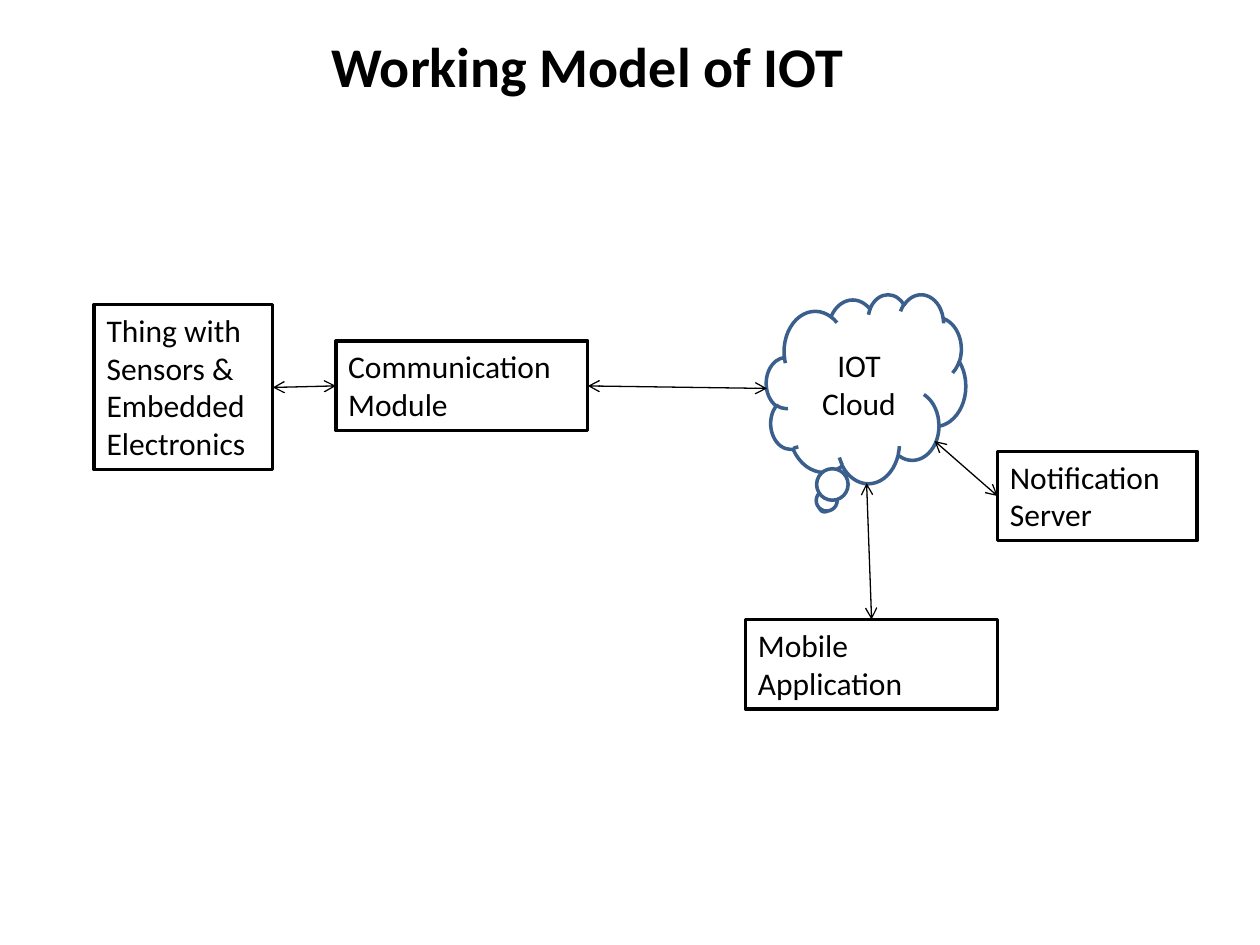
from lxml import etree
from pptx import Presentation
from pptx.dml.color import RGBColor
from pptx.enum.shapes import MSO_CONNECTOR, MSO_SHAPE
from pptx.enum.text import MSO_ANCHOR, MSO_AUTO_SIZE, PP_ALIGN
from pptx.oxml.ns import qn
from pptx.util import Cm, Pt

RECTANGLE = MSO_SHAPE.RECTANGLE
CLOUD = MSO_SHAPE.CLOUD_CALLOUT
STRAIGHT = MSO_CONNECTOR.STRAIGHT
TOP, MIDDLE = MSO_ANCHOR.TOP, MSO_ANCHOR.MIDDLE
LEFT, CENTER = PP_ALIGN.LEFT, PP_ALIGN.CENTER
FIT_SHAPE = MSO_AUTO_SIZE.SHAPE_TO_FIT_TEXT

BLACK = "000000"
WHITE = "FFFFFF"
BLUE = "3A5F8C"
BOX_HEIGHT = 1.8

BOXES = [
    ("Thing with Sensors & Embedded Electronics", 1.9, 6.14, 3.6, 3.33),
    ("Communication Module", 6.77, 6.88, 5.08, BOX_HEIGHT),
    ("Mobile Application", 15.03, 12.49, 5.08, BOX_HEIGHT),
    ("Notification Server", 20.11, 9.1, 4.02, BOX_HEIGHT),
]
LINKS = [
    (5.5, 7.81, 6.77, 7.78),
    (11.85, 7.78, 15.46, 7.83),
    (17.57, 12.49, 17.47, 9.74),
    (20.11, 10.0, 18.84, 8.89),
]


def color(value):
    return RGBColor.from_string(value)


def write_text(shape, text, size, bold=False, align=LEFT):
    shape.text_frame.text = text
    para = shape.text_frame.paragraphs[0]
    para.alignment = align
    font = para.runs[0].font
    font.name = "Calibri"
    font.size = Pt(size)
    font.bold = bold
    font.color.rgb = color(BLACK)


def add_node(page, kind, text, bounds, outline, align=LEFT, anchor=TOP):
    shape = page.shapes.add_shape(kind, *map(Cm, bounds))
    shape.shadow.inherit = False
    shape.fill.solid()
    shape.fill.fore_color.rgb = color(WHITE)
    shape.line.color.rgb = color(outline)
    shape.line.width = Pt(2)
    write_text(shape, text, 18, align=align)
    shape.text_frame.word_wrap = True
    shape.text_frame.vertical_anchor = anchor
    return shape


def add_box(page, text, *bounds):
    box = add_node(page, RECTANGLE, text, bounds, BLACK)
    box.text_frame.auto_size = FIT_SHAPE


def add_link(page, *ends):
    link = page.shapes.add_connector(STRAIGHT, *map(Cm, ends))
    link.line.color.rgb = color(BLACK)
    link.line.width = Pt(0.75)
    outline = link.line._get_or_add_ln()
    for end in ("a:headEnd", "a:tailEnd"):
        etree.SubElement(outline, qn(end), type="arrow")
    etree.SubElement(link._element.spPr, qn("a:effectLst"))


def add_title(page, text):
    title = page.shapes.add_textbox(Cm(6.43), Cm(0.51), Cm(10.95), Cm(1.63))
    write_text(title, text, 32, bold=True)
    title.text_frame.word_wrap = False
    title.text_frame.auto_size = FIT_SHAPE


def main():
    deck = Presentation()
    deck.slide_width = Cm(25.4)
    deck.slide_height = Cm(19.05)
    page = deck.slides.add_slide(deck.slide_layouts[6])
    for box in BOXES:
        add_box(page, *box)
    add_node(page, CLOUD, "IOT Cloud", (15.45, 5.93, 4.02, 3.81), BLUE, CENTER, MIDDLE)
    for link in LINKS:
        add_link(page, *link)
    add_title(page, "Working Model of IOT")
    deck.save("out.pptx")


if __name__ == "__main__":
    main()
